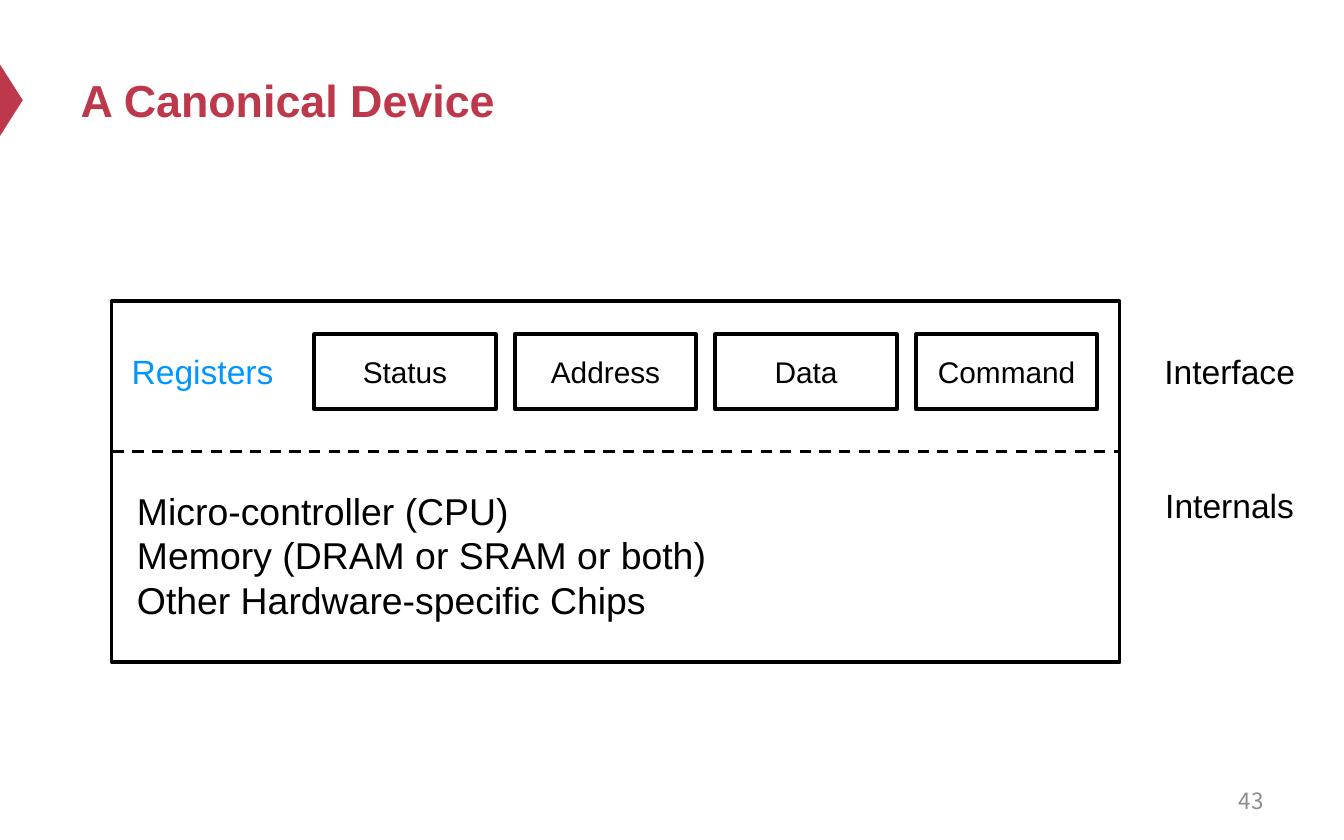
import pptx
import pptx.dml.color
import pptx.enum.dml
import pptx.enum.shapes
import pptx.enum.text
import pptx.oxml.ns
import pptx.util
from lxml import etree

Cm = pptx.util.Cm
Pt = pptx.util.Pt
RGBColor = pptx.dml.color.RGBColor
Align = pptx.enum.text.PP_ALIGN
Shape = pptx.enum.shapes.MSO_SHAPE

RED = RGBColor(0xBE, 0x38, 0x4B)
BLUE = RGBColor(0x00, 0x96, 0xFF)
BLACK = RGBColor(0x00, 0x00, 0x00)
GRAY = RGBColor(0x8C, 0x8C, 0x8C)


class DeviceSlide:
    font_name = "Arial"

    def __init__(self, slide):
        self.slide = slide

    def set_text(self, shape, text, size, color=BLACK, align=Align.CENTER, bold=False, font_name=None):
        frame = shape.text_frame
        frame.text = text
        frame.word_wrap = True
        frame.auto_size = pptx.enum.text.MSO_AUTO_SIZE.NONE
        frame.vertical_anchor = pptx.enum.text.MSO_ANCHOR.MIDDLE
        for paragraph in frame.paragraphs:
            paragraph.alignment = align
            for run in paragraph.runs:
                run.font.name = font_name or self.font_name
                run.font.size = Pt(size)
                run.font.bold = bold
                run.font.color.rgb = color

    def title(self, text, left, top, width, height):
        shape = self.slide.shapes.title
        shape.left, shape.top = Cm(left), Cm(top)
        shape.width, shape.height = Cm(width), Cm(height)
        self.set_text(shape, text, 24, RED, Align.LEFT, bold=True)

    def marker(self, left, top, width, height):
        shape = self.slide.shapes.add_shape(
            Shape.ISOSCELES_TRIANGLE, Cm(left), Cm(top), Cm(width), Cm(height))
        shape.rotation = 90
        shape.shadow.inherit = False
        shape.fill.solid()
        shape.fill.fore_color.rgb = RED
        shape.line.fill.background()

    def box(self, left, top, width, height, text=None):
        shape = self.slide.shapes.add_shape(
            Shape.RECTANGLE, Cm(left), Cm(top), Cm(width), Cm(height))
        shape.shadow.inherit = False
        shape.fill.background()
        shape.line.color.rgb = BLACK
        shape.line.width = Pt(2)
        if text:
            self.set_text(shape, text, 16)

    def label(self, text, left, top, width, height, size=18, **style):
        shape = self.slide.shapes.add_textbox(Cm(left), Cm(top), Cm(width), Cm(height))
        self.set_text(shape, text, size, **style)

    def divider(self, left, right, top):
        connector = self.slide.shapes.add_connector(
            pptx.enum.shapes.MSO_CONNECTOR.STRAIGHT, Cm(left), Cm(top), Cm(right), Cm(top))
        connector.line.color.rgb = BLACK
        connector.line.width = Pt(1.5)
        connector.line.dash_style = pptx.enum.dml.MSO_LINE.DASH
        properties = connector._element.spPr
        etree.SubElement(properties, pptx.oxml.ns.qn("a:effectLst"))


def main():
    presentation = pptx.Presentation()
    presentation.slide_width = Cm(25.4)
    presentation.slide_height = Cm(15.88)
    title_only = presentation.slide_layouts[5]
    device = DeviceSlide(presentation.slides.add_slide(title_only))

    device.marker(-0.46, 1.68, 1.35, 0.43)
    device.title("A Canonical Device", 1.27, 0.64, 22.86, 2.49)

    device.box(2.11, 5.69, 19.05, 6.83)
    device.divider(2.13, 21.13, 8.53)
    for index, register in enumerate(["Status", "Address", "Data", "Command"]):
        device.box(5.94 + 3.79 * index, 6.32, 3.43, 1.42, register)

    device.label("Registers", 2.13, 6.3, 3.4, 1.42, color=BLUE)
    internals = ["Micro-controller (CPU)", "Memory (DRAM or SRAM or both)",
                 "Other Hardware-specific Chips"]
    device.label("\n".join(internals), 2.34, 8.84, 18.39, 3.3, size=20, align=Align.LEFT)
    for text, top in [("Interface", 6.3), ("Internals", 8.84)]:
        device.label(text, 21.54, top, 3.4, 1.42)
    device.label("43", 18.21, 14.71, 5.92, 0.84, size=12, color=GRAY,
                 align=Align.RIGHT, font_name="Noto Sans CJK SC")

    presentation.save("out.pptx")


if __name__ == "__main__":
    main()
